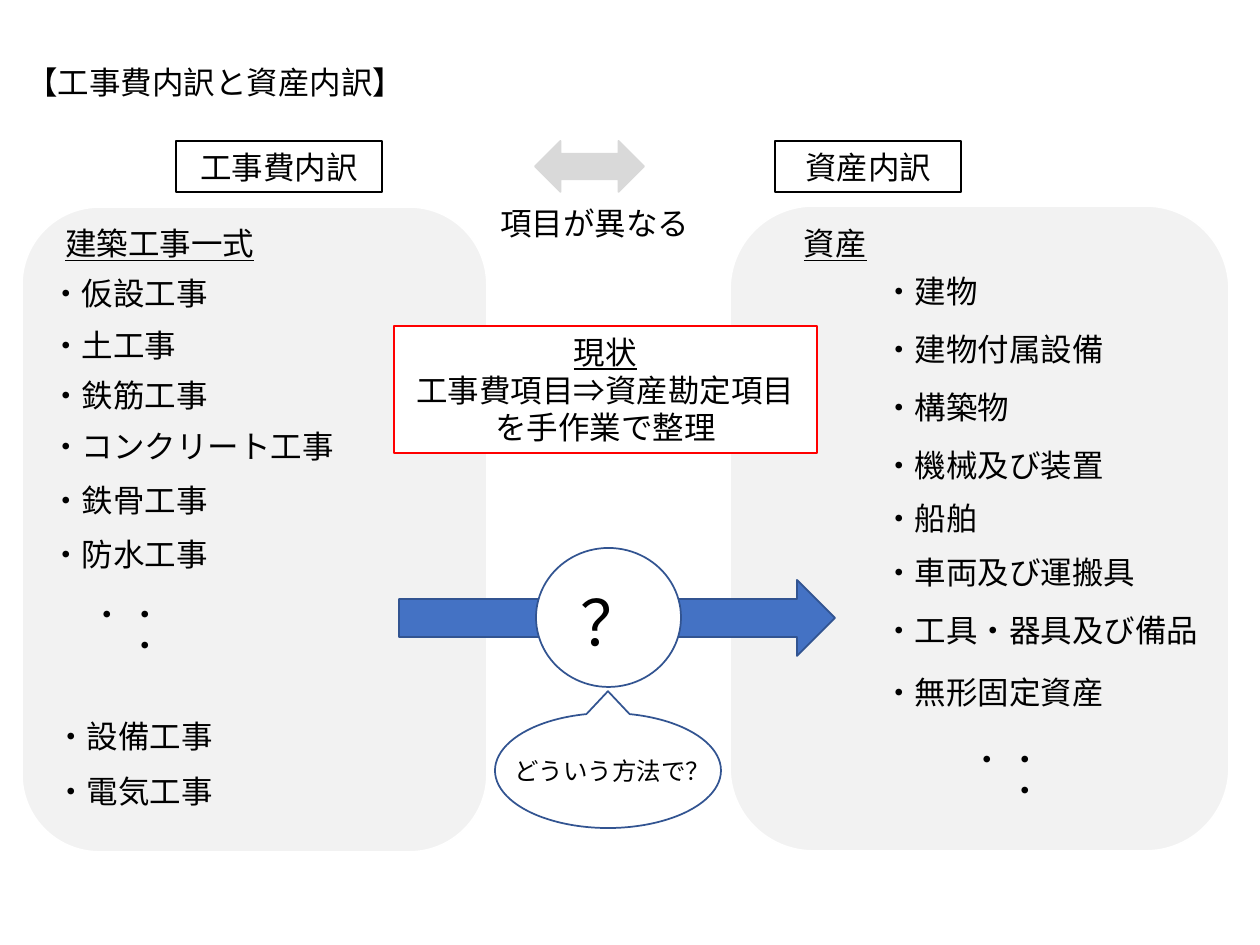
from dataclasses import dataclass

from pptx import Presentation
from pptx.dml.color import RGBColor
from pptx.enum.shapes import MSO_SHAPE
from pptx.enum.text import MSO_AUTO_SIZE, PP_ALIGN
from pptx.util import Emu, Pt

EMU_PER_PX = 914400 // 126
FONT = "Calibri"
BLACK, WHITE, RED = "000000", "FFFFFF", "FF0000"
PANEL_GREY, ARROW_GREY = "F2F2F2", "D9D9D9"
BLUE, DARK_BLUE = "4472C4", "325491"
ROW_HEIGHT = 51


@dataclass
class Box:
    """Place on the slide, in pixels."""
    left: int
    top: int
    width: int
    height: int = ROW_HEIGHT


@dataclass
class Line:
    """One paragraph of text."""
    text: str
    size: int = 18
    underline: bool = False


@dataclass
class Items:
    """A column of bulleted items, each with its own top."""
    left: int
    width: int
    rows: dict[str, int]


def px(length: int) -> Emu:
    """Turn pixels into EMU."""
    return Emu(length * EMU_PER_PX)


def colour(value: str) -> RGBColor:
    """Turn a hex string into a colour."""
    return RGBColor.from_string(value)


def write(shape, lines: list[Line], align: PP_ALIGN) -> None:
    """Fill a shape with paragraphs."""
    frame = shape.text_frame
    frame.word_wrap = True
    frame.auto_size = MSO_AUTO_SIZE.SHAPE_TO_FIT_TEXT
    for number, line in enumerate(lines):
        paragraph = frame.add_paragraph() if number else frame.paragraphs[0]
        paragraph.alignment = align
        run = paragraph.add_run()
        run.text = line.text
        run.font.name = FONT
        run.font.size = Pt(line.size)
        run.font.color.rgb = colour(BLACK)
        if line.underline:
            run.font.underline = True


def add_label(slide, box: Box, line: Line, align: PP_ALIGN = PP_ALIGN.LEFT):
    """Add one line of free text."""
    label = slide.shapes.add_textbox(
        px(box.left), px(box.top), px(box.width), px(box.height))
    write(label, [line], align)
    return label


def add_figure(slide, kind: MSO_SHAPE, box: Box, fill: str | None,
               outline: str, weight: float = 1):
    """Add a preset shape with its fill and outline."""
    figure = slide.shapes.add_shape(
        kind, px(box.left), px(box.top), px(box.width), px(box.height))
    figure.shadow.inherit = False
    if fill:
        figure.fill.solid()
        figure.fill.fore_color.rgb = colour(fill)
    else:
        figure.fill.background()
    figure.line.color.rgb = colour(outline)
    figure.line.width = Pt(weight)
    return figure


def add_frame(slide, box: Box, lines: list[Line], fill: str | None,
              outline: str) -> None:
    """Add a thinly outlined box with centred text."""
    frame = add_figure(slide, MSO_SHAPE.RECTANGLE, box, fill, outline, 0.75)
    write(frame, lines, PP_ALIGN.CENTER)


def add_items(slide, items: Items) -> None:
    """Add a column of items."""
    for name, top in items.rows.items():
        add_label(slide, Box(items.left, top, items.width), Line("・" + name))


def add_ellipsis(slide, left: int, top: int) -> None:
    """Add dots that run downwards."""
    dots = add_label(slide, Box(left, top, 63, 116), Line("・・・"))
    dots.element.txBody.bodyPr.set("vert", "eaVert")


def main() -> None:
    """Build the slide."""
    deck = Presentation()
    deck.slide_width, deck.slide_height = px(1260), px(945)
    slide = deck.slides.add_slide(deck.slide_layouts[6])

    for panel in (Box(22, 207, 465, 645), Box(730, 206, 499, 645)):
        add_figure(slide, MSO_SHAPE.ROUNDED_RECTANGLE, panel, PANEL_GREY, WHITE)

    add_label(slide, Box(14, 57, 791), Line("【工事費内訳と資産内訳】"))
    add_frame(slide, Box(176, 141, 206), [Line("工事費内訳")], None, BLACK)
    add_frame(slide, Box(775, 141, 186), [Line("資産内訳")], None, BLACK)
    add_figure(slide, MSO_SHAPE.LEFT_RIGHT_ARROW, Box(535, 141, 109),
               ARROW_GREY, ARROW_GREY)
    add_label(slide, Box(488, 198, 223), Line("項目が異なる"))

    add_label(slide, Box(53, 218, 220), Line("建築工事一式", underline=True))
    add_label(slide, Box(779, 218, 113), Line("資産", underline=True),
              PP_ALIGN.CENTER)
    columns = [
        Items(38, 329, {"仮設工事": 268, "土工事": 320, "鉄筋工事": 370,
                        "コンクリート工事": 421, "鉄骨工事": 475,
                        "防水工事": 529}),
        Items(43, 329, {"設備工事": 711, "電気工事": 766}),
        Items(871, 380, {"建物": 266, "建物付属設備": 324, "構築物": 382,
                         "機械及び装置": 440, "船舶": 493,
                         "車両及び運搬具": 547, "工具・器具及び備品": 605,
                         "無形固定資産": 667}),
    ]
    for column in columns:
        add_items(slide, column)
    add_ellipsis(slide, 106, 586)
    add_ellipsis(slide, 986, 731)

    current_state = [Line("現状", underline=True),
                     Line("工事費項目⇒資産勘定項目"),
                     Line("を手作業で整理")]
    add_frame(slide, Box(394, 326, 423, 127), current_state, WHITE, RED)

    add_figure(slide, MSO_SHAPE.RIGHT_ARROW, Box(399, 580, 436, 76),
               BLUE, DARK_BLUE)
    add_figure(slide, MSO_SHAPE.OVAL, Box(536, 548, 145, 139), WHITE, DARK_BLUE)
    add_label(slide, Box(568, 577, 81, 89), Line("?".replace("?", "？"), 36),
              PP_ALIGN.CENTER)

    callout = add_figure(slide, MSO_SHAPE.OVAL_CALLOUT,
                         Box(495, 713, 226, 115), WHITE, DARK_BLUE)
    callout.rotation = 180
    callout.adjustments[0] = 0
    callout.adjustments[1] = 0.69
    add_label(slide, Box(494, 750, 237, 43), Line("どういう方法で？", 14),
              PP_ALIGN.CENTER)

    deck.save("out.pptx")


main()
